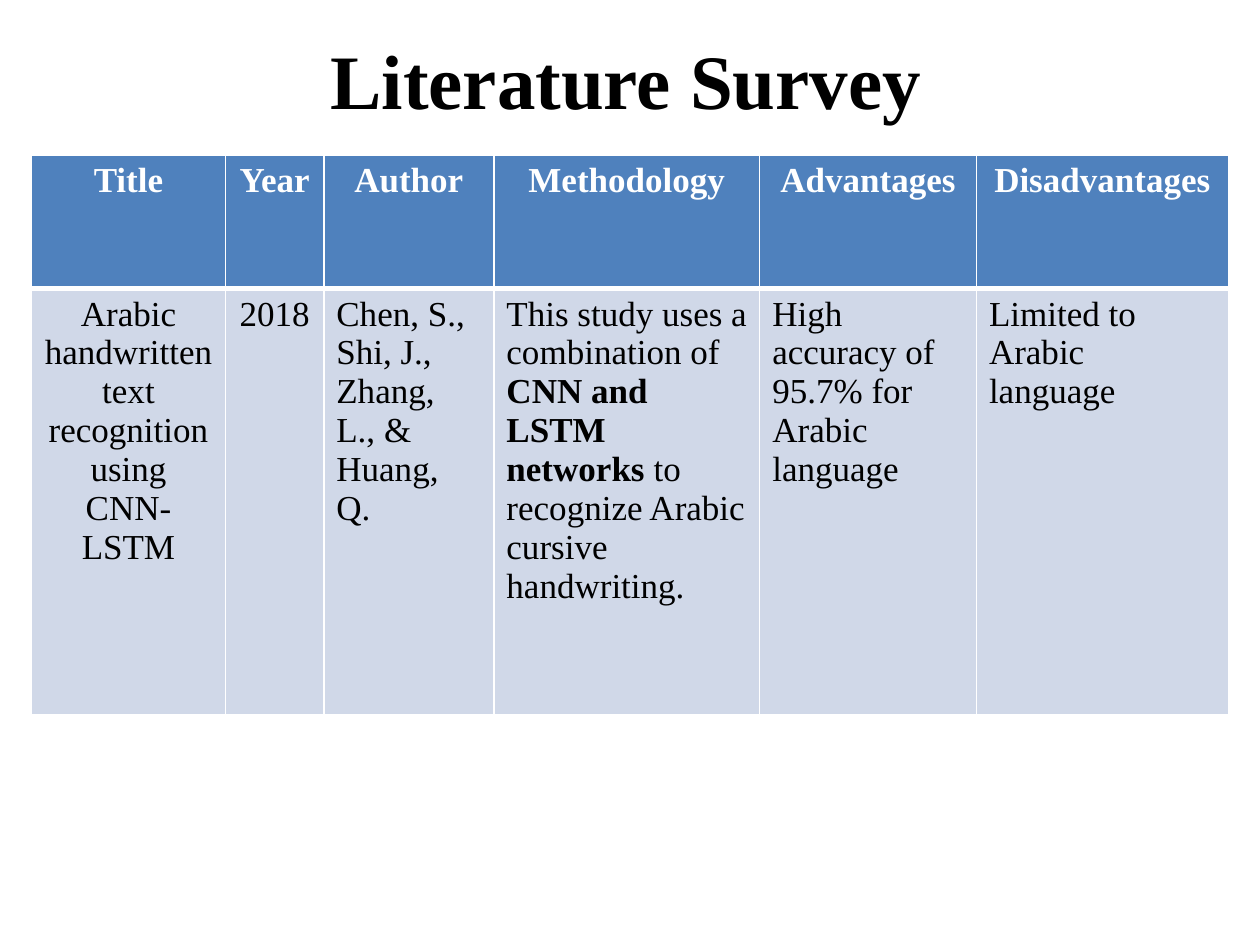
from dataclasses import dataclass

from lxml import etree
from pptx import Presentation
from pptx.dml.color import RGBColor
from pptx.enum.text import MSO_ANCHOR, PP_ALIGN
from pptx.oxml.ns import qn
from pptx.util import Inches, Pt

CENTER, LEFT = PP_ALIGN.CENTER, PP_ALIGN.LEFT
MIDDLE = MSO_ANCHOR.MIDDLE
FONT = "Times New Roman"
COLORS = {
    "text": "000000",
    "header_text": "FFFFFF",
    "header_fill": "4F81BD",
    "body_fill": "D0D8E8",
    "border": "FFFFFF",
}


@dataclass
class Column:
    heading: str
    width: float
    phrases: tuple[str, ...]  # every second phrase is bold
    alignment: PP_ALIGN = LEFT


COLUMNS = [
    Column("Title", 1.54,
           ("Arabic handwritten text recognition using CNN-LSTM",), CENTER),
    Column("Year", 0.78, ("2018",), CENTER),
    Column("Author", 1.35, ("Chen, S., Shi, J., Zhang, L., & Huang, Q.",)),
    Column("Methodology", 2.11, (
        "This study uses a combination of ",
        "CNN and LSTM networks ",
        "to recognize Arabic cursive handwriting.")),
    Column("Advantages", 1.72, ("High accuracy of 95.7% for Arabic language",)),
    Column("Disadvantages", 2, ("Limited to Arabic language",)),
]
ROW_HEIGHTS = [1.06, 3.38]


def format_run(run, size: float, color: str, bold: bool) -> None:
    run.font.name = FONT
    run.font.size = Pt(size)
    run.font.bold = bold
    run.font.color.rgb = RGBColor.from_string(COLORS[color])


def add_border(cell, side: str, width: float) -> None:
    line = etree.SubElement(cell._tc.get_or_add_tcPr(), qn(f"a:ln{side}"),
                            w=str(Pt(width)))
    fill = etree.SubElement(line, qn("a:solidFill"))
    etree.SubElement(fill, qn("a:srgbClr"), val=COLORS["border"])


def fill_cell(cell, phrases: tuple[str, ...], alignment: PP_ALIGN,
              header: bool) -> None:
    # Borders must precede the fill in the cell properties
    for side in "LRTB":
        divider = side == ("B" if header else "T")
        add_border(cell, side, 3 if divider else 1)
    cell.fill.solid()
    cell.fill.fore_color.rgb = RGBColor.from_string(
        COLORS["header_fill" if header else "body_fill"])

    paragraph = cell.text_frame.paragraphs[0]
    paragraph.alignment = alignment
    for index, phrase in enumerate(phrases):
        run = paragraph.add_run()
        run.text = phrase
        format_run(run, 20, "header_text" if header else "text",
                   header or index % 2 == 1)


def add_title(slide, text: str) -> None:
    title = slide.shapes.add_textbox(Inches(0.47), Inches(0),
                                     Inches(9), Inches(1.25))
    text_frame = title.text_frame
    text_frame.word_wrap = True
    text_frame.vertical_anchor = MIDDLE
    text_frame.text = text
    paragraph = text_frame.paragraphs[0]
    paragraph.alignment = CENTER
    format_run(paragraph.runs[0], 44, "text", True)


def add_survey_table(slide) -> None:
    table = slide.shapes.add_table(
        len(ROW_HEIGHTS), len(COLUMNS), Inches(0.25), Inches(1.23),
        Inches(sum(column.width for column in COLUMNS)),
        Inches(sum(ROW_HEIGHTS))).table
    for row, height in zip(table.rows, ROW_HEIGHTS):
        row.height = Inches(height)
    for index, column in enumerate(COLUMNS):
        table.columns[index].width = Inches(column.width)
        fill_cell(table.cell(0, index), (column.heading,), CENTER, True)
        fill_cell(table.cell(1, index), column.phrases, column.alignment, False)


def main() -> None:
    presentation = Presentation()
    presentation.slide_width = Inches(10)
    presentation.slide_height = Inches(7.5)
    slide = presentation.slides.add_slide(presentation.slide_layouts[6])
    add_title(slide, "Literature Survey")
    add_survey_table(slide)
    presentation.save("out.pptx")


if __name__ == "__main__":
    main()
